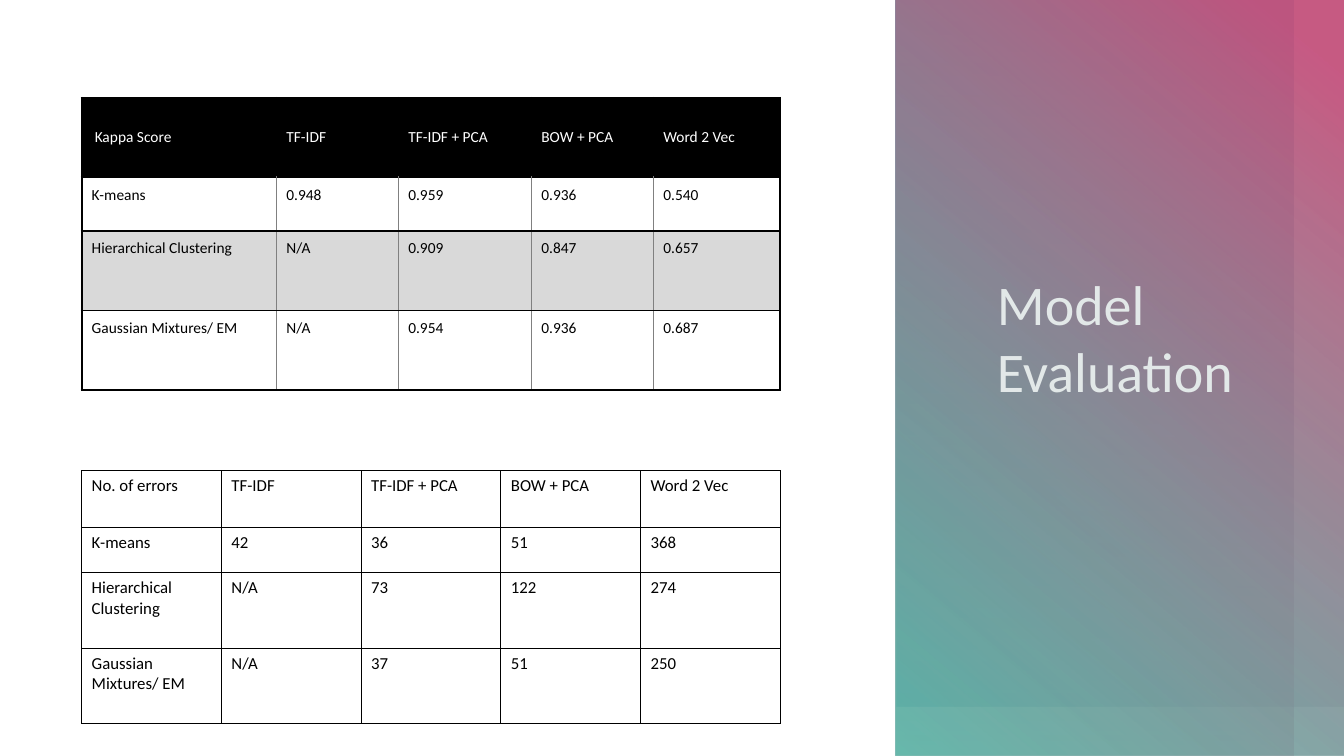
from lxml.etree import SubElement
from pptx import Presentation
from pptx.dml.color import RGBColor
from pptx.enum.shapes import MSO_SHAPE
from pptx.enum.text import MSO_ANCHOR
from pptx.oxml import parse_xml
from pptx.oxml.ns import nsdecls, qn
from pptx.util import Inches, Pt


def rgb(color):
    return RGBColor.from_string(color)


def write(tf, text, size, color="000000"):
    tf.word_wrap = True
    r = tf.paragraphs[0].add_run()
    r.text = text
    r.font.size = Pt(size)
    r.font.name = "Calibri"
    r.font.color.rgb = rgb(color)


prs = Presentation()
prs.slide_width, prs.slide_height = Inches(13.33), Inches(7.5)
s = prs.slides.add_slide(prs.slide_layouts[6])

# Gradient panel: place, rotation, mirrored, angle, stops (position, colour, opacity)
panels = [
    ((7.85, 1.5, 6.55, 4.46), 90, False, 220,
     [(0, "4DA8C3", 48), (70, "C34D79", 0)]),
    ((8.88, 0, 3.95, 7.5), 0, True, 90,
     [(0, "4DA8C3", 77), (100, "DB94AF", 48)]),
    ((8.88, 0, 4.48, 7.5), 0, True, 50,
     [(7, "C34D79", 92), (99, "3BB19C", 74)]),
]
for place, rotation, mirrored, angle, stops in panels:
    sp = s.shapes.add_shape(MSO_SHAPE.RECTANGLE, *map(Inches, place))
    sp.shadow.inherit = False
    sp.rotation = rotation
    sp.line.fill.background()
    sp.fill.background()
    spPr = sp.element.spPr
    if mirrored:
        spPr.find(qn("a:xfrm")).set("flipH", "1")
    gs = "".join(
        f'<a:gs pos="{pos * 1000}"><a:srgbClr val="{color}">'
        f'<a:alpha val="{alpha * 1000}"/></a:srgbClr></a:gs>'
        for pos, color, alpha in stops)
    gradient = parse_xml(
        f'<a:gradFill {nsdecls("a")} rotWithShape="1"><a:gsLst>{gs}</a:gsLst>'
        f'<a:lin ang="{angle * 60000}" scaled="0"/></a:gradFill>')
    spPr.replace(spPr.find(qn("a:noFill")), gradient)

# Tables
methods = ["TF-IDF", "TF-IDF + PCA", "BOW + PCA", "Word 2 Vec"]
kappa = [
    ["Kappa Score", *methods],
    ["K-means", "0.948", "0.959", "0.936", "0.540"],
    ["Hierarchical Clustering", "N/A", "0.909", "0.847", "0.657"],
    ["Gaussian Mixtures/ EM", "N/A", "0.954", "0.936", "0.687"],
]
errors = [
    ["No. of errors", *methods],
    ["K-means", "42", "36", "51", "368"],
    ["Hierarchical Clustering", "N/A", "73", "122", "274"],
    ["Gaussian Mixtures/ EM", "N/A", "37", "51", "250"],
]
# data, top, column widths, row heights, text size, row fills, thick rules
tables = [
    (kappa, 0.97, [1.93, 1.21, 1.32, 1.21, 1.26], [0.79, 0.53, 0.79, 0.79],
     11, {0: "000000", 2: "D9D9D9"}, True),
    (errors, 4.67, [1.386] * 5, [0.56, 0.45, 0.75, 0.75], 12, {}, False),
]
for data, top, widths, heights, size, fills, thick in tables:
    tbl = s.shapes.add_table(len(heights), len(widths), Inches(0.81), Inches(top),
                             Inches(sum(widths)), Inches(sum(heights))).table
    tbl.first_row = tbl.horz_banding = False
    for col, width in zip(tbl.columns, widths):
        col.width = Inches(width)
    for i, height in enumerate(heights):
        tbl.rows[i].height = Inches(height)
        for j, text in enumerate(data[i]):
            cell = tbl.cell(i, j)
            header = thick and i == 0
            write(cell.text_frame, text, size, "FFFFFF" if header else "000000")
            if thick:
                cell.margin_top = cell.margin_bottom = Inches(0.08)
                cell.margin_right = Inches(0.15)
            if header:
                cell.vertical_anchor = MSO_ANCHOR.MIDDLE
                cell.margin_left = Inches(0.1 if j else 0.13)

            # Borders: thin grey between the body columns of the thick-ruled table
            tcPr = cell._tc.get_or_add_tcPr()
            inner = {"L": j > 0, "R": j < len(widths) - 1}
            for side in "LRTB":
                grey = thick and i > 0 and inner.get(side, False)
                points = 0.5 if grey else 1.5 if thick else 1
                ln = SubElement(tcPr, qn(f"a:ln{side}"), w=str(Pt(points)))
                fill = SubElement(ln, qn("a:solidFill"))
                SubElement(fill, qn("a:srgbClr"), val="808080" if grey else "000000")

            if i in fills:
                cell.fill.solid()
                cell.fill.fore_color.rgb = rgb(fills[i])
            else:
                cell.fill.background()

# Title
title = s.shapes.add_textbox(Inches(9.79), Inches(2.62), Inches(3.44), Inches(1.45))
write(title.text_frame, "Model Evaluation", 40, "E2E8E8")

prs.save("out.pptx")
